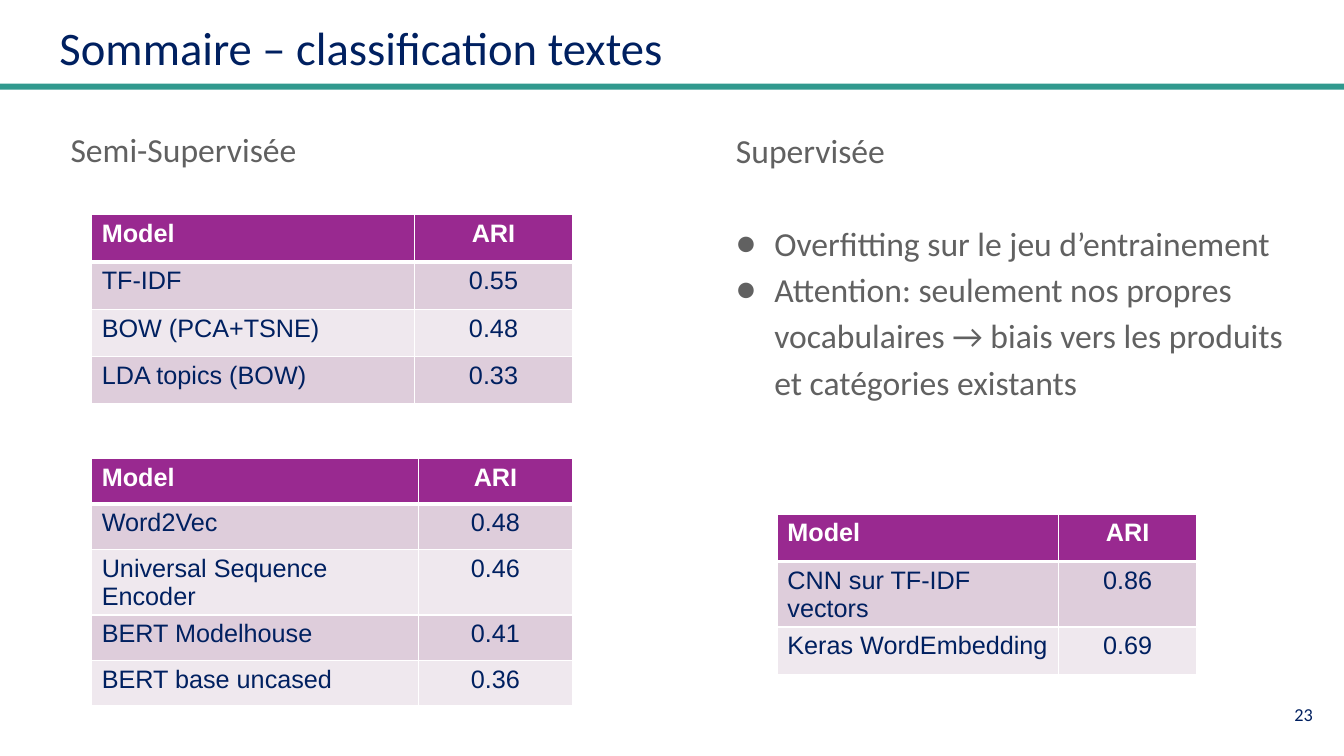
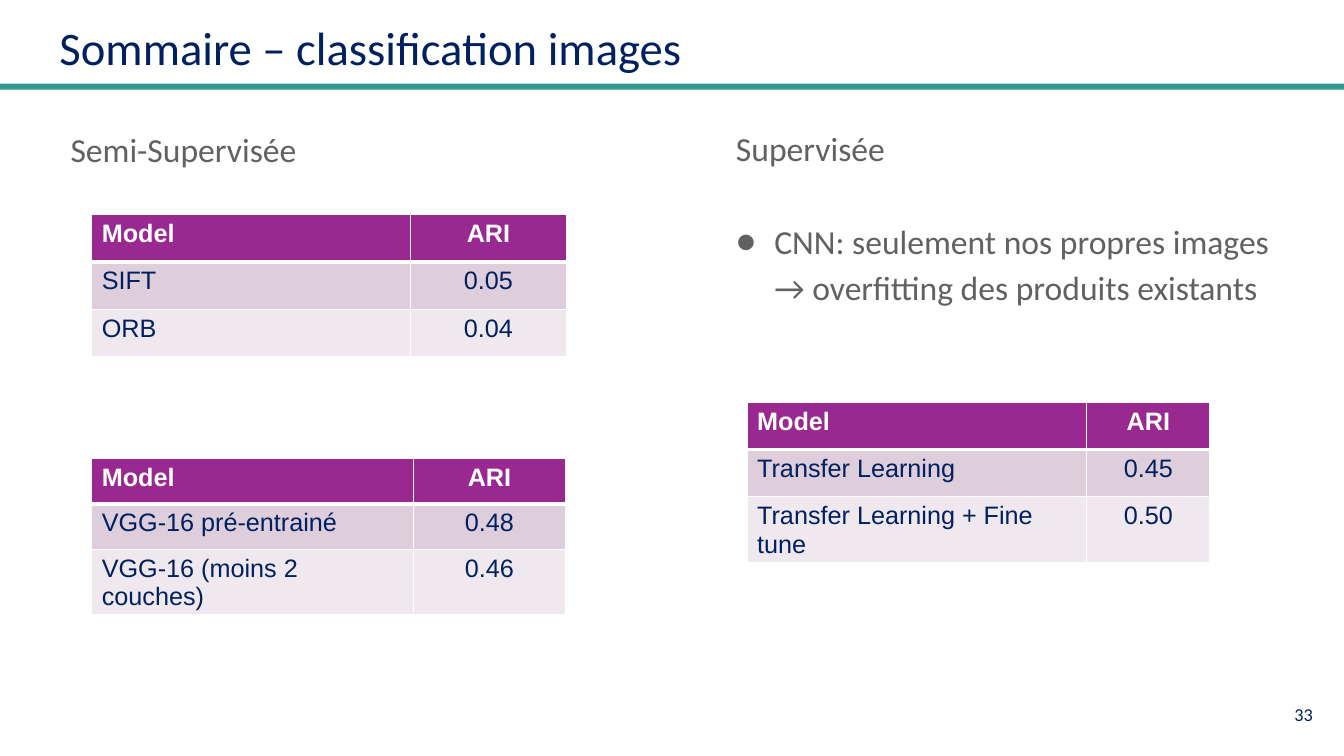
from lxml import etree
from pptx import Presentation
from pptx.dml.color import RGBColor
from pptx.enum import shapes, text
from pptx.oxml import ns
from pptx.util import Inches, Pt

NAVY, GREY, TEAL, WHITE = "002060", "616161", "31998E", "FFFFFF"
HEADER, BANDS = "992990", ("DECDDB", "EFE8EE")
HEADING_INDENT = (0.12, 0)
BULLET_INDENT = (0.5, -0.38)
COLUMN_WIDTH = 5.83

# Each table: left, top, column widths, row height, body rows
SLIDES = [
    {
        "title": "Sommaire – classification textes",
        "number": "23",
        "right_top": 1.1,
        "bullets": [
            "Overfitting sur le jeu d’entrainement",
            "Attention: seulement nos propres vocabulaires → biais vers les "
            "produits et catégories existants",
        ],
        "tables": [
            (0.91, 2.13, (3.2, 1.57), 0.47,
             [("TF-IDF", "0.55"), ("BOW (PCA+TSNE)", "0.48"),
              ("LDA topics (BOW)", "0.33")]),
            (0.91, 4.55, (3.24, 1.53), 0.45,
             [("Word2Vec", "0.48"), ("Universal Sequence Encoder", "0.46"),
              ("BERT Modelhouse", "0.41"), ("BERT base uncased", "0.36")]),
            (7.71, 5.1, (2.79, 1.37), 0.47,
             [("CNN sur TF-IDF vectors", "0.86"),
              ("Keras WordEmbedding", "0.69")]),
        ],
    },
    {
        "title": "Sommaire – classification images",
        "number": "33",
        "right_top": 1.08,
        "bullets": ["CNN: seulement nos propres images → overfitting des "
                    "produits existants"],
        "tables": [
            (0.91, 2.13, (3.16, 1.55), 0.47,
             [("SIFT", "0.05"), ("ORB", "0.04")]),
            (0.91, 4.55, (3.19, 1.51), 0.45,
             [("VGG-16 pré-entrainé", "0.48"),
              ("VGG-16 (moins 2 couches)", "0.46")]),
            (7.41, 3.99, (3.37, 1.22), 0.47,
             [("Transfer Learning", "0.45"),
              ("Transfer Learning + Fine tune", "0.50")]),
        ],
    },
]


def colour(value):
    return RGBColor.from_string(value)


def add_text(page, area, lines, size, ink, align=text.PP_ALIGN.LEFT,
             anchor=text.MSO_ANCHOR.TOP):
    """Add a text box; each line is (wording, (margin, indent) or None)."""
    box = page.shapes.add_textbox(*(Inches(length) for length in area))
    frame = box.text_frame
    frame.word_wrap = True
    frame.vertical_anchor = anchor
    frame.margin_left = frame.margin_right = Inches(0.13)
    frame.margin_top = frame.margin_bottom = Inches(0.13)
    for index, (wording, indent) in enumerate(lines):
        para = frame.paragraphs[0] if index == 0 else frame.add_paragraph()
        para.alignment = align
        if indent:
            para.line_spacing = 1.15
            if index == 1:
                para.space_before = Pt(33)
            props = para._p.get_or_add_pPr()
            props.set("marL", str(Inches(indent[0])))
            props.set("indent", str(Inches(indent[1])))
            if indent == BULLET_INDENT:
                tint = etree.SubElement(props, ns.qn("a:buClr"))
                etree.SubElement(tint, ns.qn("a:srgbClr"), val=ink)
                etree.SubElement(props, ns.qn("a:buFont"), typeface="Calibri")
                etree.SubElement(props, ns.qn("a:buChar"), char="●")
        span = para.add_run()
        span.text = wording
        span.font.size = Pt(size)
        span.font.name = "Calibri"
        span.font.color.rgb = colour(ink)


deck = Presentation()
deck.slide_width, deck.slide_height = Inches(13.33), Inches(7.5)

for content in SLIDES:
    page = deck.slides.add_slide(deck.slide_layouts[6])

    # Title, band and page number
    band = page.shapes.add_shape(shapes.MSO_SHAPE.RECTANGLE, Inches(0),
                                 Inches(0.83), deck.slide_width, Inches(0.06))
    band.shadow.inherit = False
    band.fill.solid()
    band.fill.fore_color.rgb = colour(TEAL)
    band.line.fill.background()
    add_text(page, (0.46, 0.06, 12.42, 0.83), [(content["title"], None)],
             33.3, NAVY)
    add_text(page, (12.35, 6.8, 0.8, 0.57), [(content["number"], None)],
             13, NAVY, text.PP_ALIGN.RIGHT, text.MSO_ANCHOR.MIDDLE)

    # Two columns of text
    add_text(page, (0.45, 1.09, COLUMN_WIDTH, 5.71),
             [("Semi-Supervisée", HEADING_INDENT)], 24, GREY)
    bullets = [(wording, BULLET_INDENT) for wording in content["bullets"]]
    add_text(page, (7.05, content["right_top"], COLUMN_WIDTH, 5.81),
             [("Supervisée", HEADING_INDENT)] + bullets, 24, GREY)

    # Score tables
    for left, top, widths, row_height, scores in content["tables"]:
        rows = [("Model", "ARI")] + scores
        table = page.shapes.add_table(
            len(rows), len(widths), Inches(left), Inches(top),
            Inches(sum(widths)), Inches(row_height * len(rows))).table
        table.horz_banding = False
        for column, width in zip(table.columns, widths):
            column.width = Inches(width)
        for r, row in enumerate(rows):
            table.rows[r].height = Inches(row_height)
            for c, wording in enumerate(row):
                cell = table.cell(r, c)
                cell.margin_bottom = Inches(0)
                props = cell._tc.get_or_add_tcPr()
                for side in ("L", "R", "T", "B"):
                    # The rule under the header is thicker
                    thick = (r, side) in ((0, "B"), (1, "T"))
                    edge = etree.SubElement(props, ns.qn("a:ln" + side),
                                            w=str(Pt(3 if thick else 1)))
                    paint = etree.SubElement(edge, ns.qn("a:solidFill"))
                    etree.SubElement(paint, ns.qn("a:srgbClr"), val=WHITE)
                cell.fill.solid()
                cell.fill.fore_color.rgb = colour(
                    HEADER if r == 0 else BANDS[(r - 1) % 2])
                para = cell.text_frame.paragraphs[0]
                para.alignment = (text.PP_ALIGN.CENTER if c
                                  else text.PP_ALIGN.LEFT)
                span = para.add_run()
                span.text = wording
                span.font.size = Pt(18)
                span.font.name = "Arial"
                span.font.bold = r == 0
                span.font.color.rgb = colour(WHITE if r == 0 else NAVY)

deck.save("out.pptx")
